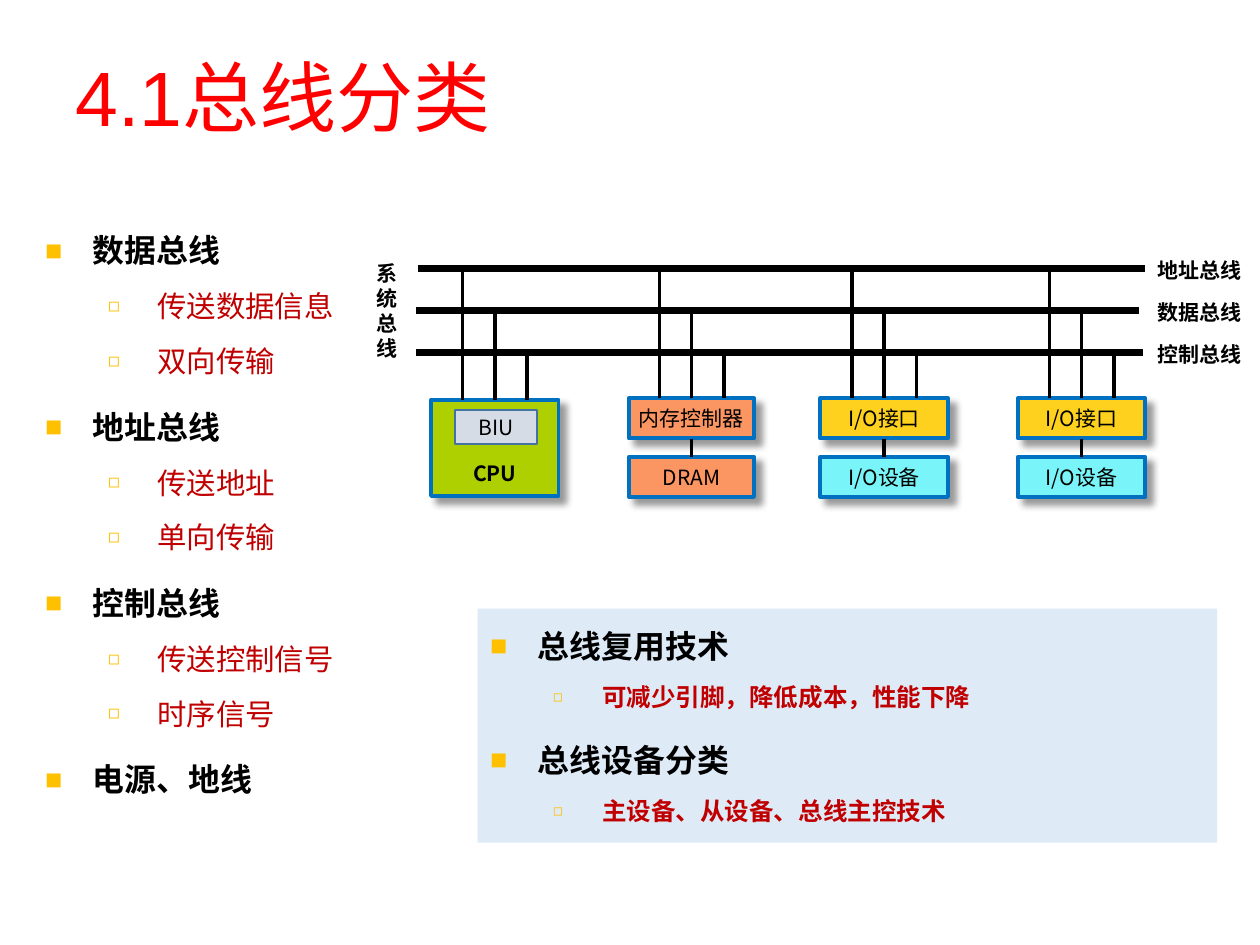
from pptx import Presentation
from pptx.dml.color import RGBColor
from pptx.enum.shapes import MSO_CONNECTOR, MSO_SHAPE
from pptx.enum.text import MSO_ANCHOR, PP_ALIGN
from pptx.oxml.ns import qn
from pptx.util import Cm, Pt
from lxml.etree import SubElement

CJK_FONT = "Noto Sans CJK SC"
BLUE = "0070C0"
TOP, BOTTOM = 0, 2


def colour(value):
    return RGBColor.from_string(value)


def style_para(para, size, shade, bold=False, font=CJK_FONT):
    for span in para.runs:
        span.font.size = Pt(size)
        span.font.bold = bold
        span.font.name = font
        span.font.color.rgb = colour(shade)
        SubElement(span.font._element, qn("a:ea"), typeface=CJK_FONT)


def add_text(page, box, text, size, shade="000000", bold=False, font=CJK_FONT,
             align=PP_ALIGN.CENTER, anchor=MSO_ANCHOR.MIDDLE, margin=0):
    frame = page.shapes.add_textbox(*map(Cm, box)).text_frame
    frame.word_wrap = True
    frame.margin_left = frame.margin_right = Cm(margin)
    frame.vertical_anchor = anchor
    frame.text = text
    frame.paragraphs[0].alignment = align
    style_para(frame.paragraphs[0], size, shade, bold, font)
    return frame


def add_line(page, start, end, width):
    line = page.shapes.add_connector(MSO_CONNECTOR.STRAIGHT, *map(Cm, start + end))
    line.line.width = Pt(width)
    line.line.color.rgb = colour("000000")
    SubElement(line._element.spPr, qn("a:effectLst"))
    return line


def add_block(page, box, text, fill, edge=BLUE, width=2.25, bold=False,
              anchor=MSO_ANCHOR.MIDDLE, shadow=True):
    block = page.shapes.add_shape(MSO_SHAPE.RECTANGLE, *map(Cm, box))
    block.fill.solid()
    block.fill.fore_color.rgb = colour(fill)
    block.line.color.rgb = colour(edge)
    block.line.width = Pt(width)
    block.shadow.inherit = False
    if shadow:
        effects = block._element.spPr.find(qn("a:effectLst"))
        outer = SubElement(effects, qn("a:outerShdw"), blurRad=str(Pt(4)),
                           dist=str(Pt(5)), dir="2700000", algn="tl", rotWithShape="0")
        tint = SubElement(outer, qn("a:srgbClr"), val="000000")
        SubElement(tint, qn("a:alpha"), val="40000")
    frame = block.text_frame
    frame.margin_left = frame.margin_right = frame.margin_top = 0
    frame.margin_bottom = Cm(0.2 if anchor == MSO_ANCHOR.BOTTOM else 0)
    frame.vertical_anchor = anchor
    frame.text = text
    frame.paragraphs[0].alignment = PP_ALIGN.CENTER
    style_para(frame.paragraphs[0], 12, "000000", bold)
    return block


def add_bullet(para, char, percent):
    properties = para._p.get_or_add_pPr()
    tint = SubElement(properties, qn("a:buClr"))
    SubElement(tint, qn("a:srgbClr"), val="FFC000")
    SubElement(properties, qn("a:buSzPct"), val=str(percent * 1000))
    SubElement(properties, qn("a:buFont"), typeface="Arial")
    SubElement(properties, qn("a:buChar"), char=char)


def fill_outline(frame, topics, detail_size, detail_bold):
    frame.word_wrap = True
    frame.vertical_anchor = MSO_ANCHOR.TOP
    entries = []
    for heading, details in topics:
        entries.append((0, heading))
        entries += [(1, detail) for detail in details]
    for index, (level, text) in enumerate(entries):
        para = frame.paragraphs[0] if index == 0 else frame.add_paragraph()
        para.text = text
        para.level = level
        para.alignment = PP_ALIGN.JUSTIFY
        size = detail_size if level else 18.2
        properties = para._p.get_or_add_pPr()
        properties.set("marL", str(Cm(2.26 if level else 0.96)))
        properties.set("indent", str(Cm(-0.99 if level else -0.96)))
        add_bullet(para, *(("◻", 65) if level else ("■", 90)))
        para.line_spacing = Pt(round(size * 1.56, 1))
        if index:
            para.space_before = Pt(5 if level else 10)
        style_para(para, size, "C00000" if level else "000000",
                   detail_bold if level else True)


def add_stubs(page, unit, centre, top, buses):
    address, data, control = buses
    add_line(page, (centre - 0.65, top), (centre - 0.65, address), 2)
    middle = add_line(page, (centre, top), (centre, data), 2)
    middle.begin_connect(unit, TOP)
    add_line(page, (centre + 0.65, top), (centre + 0.65, control), 2)


def add_cpu(page, box, buses):
    left, top, width, height = box
    unit = add_block(page, box, "CPU", "AECF00", bold=True, anchor=MSO_ANCHOR.BOTTOM)
    add_block(page, (left + 0.48, top + 0.2, 1.65, 0.69), "BIU", "D6DCE5",
              edge="43739E", width=1, shadow=False)
    add_stubs(page, unit, left + width / 2, top, buses)


def add_device(page, box, labels, fills, buses):
    left, top, width, height = box
    part = 0.81
    upper = add_block(page, (left, top, width, part), labels[0], fills[0])
    lower = add_block(page, (left, top + height - part, width, part), labels[1], fills[1])
    centre = left + width / 2
    link = add_line(page, (centre, top + part), (centre, top + height - part), 2)
    link.begin_connect(upper, BOTTOM)
    link.end_connect(lower, TOP)
    add_stubs(page, upper, centre, top, buses)


def add_bus_diagram(page, box):
    left, top, width, height = box
    buses = [top + 0.36 + 0.85 * step for step in range(3)]
    names = ("地址总线", "数据总线", "控制总线")
    spans = ((1.17, 15.83), (1.12, 15.7), (1.12, 15.78))
    for name, y, (start, end) in zip(names, buses, spans):
        add_line(page, (left + start, y), (left + end, y), 4)
        add_text(page, (left + width - 2.24, y - 0.35, 2.24, 0.76), name, 12, bold=True)
    caption = add_text(page, (left, top + 0.09, 1.07, 2.3), "系统总线", 12, bold=True,
                       anchor=MSO_ANCHOR.TOP, margin=0.25)
    caption.paragraphs[0].line_spacing = Pt(14.3)

    unit_top = top + 2.98
    unit_height = height - 2.98
    add_cpu(page, (left + 1.43, unit_top + 0.03, 2.57, unit_height - 0.05), buses)
    add_device(page, (left + 5.42, unit_top, 2.52, unit_height),
               ("内存控制器", "DRAM"), ("FB9562", "FB9562"), buses)
    for offset in (9.28, 13.26):
        add_device(page, (left + offset, unit_top, 2.57, unit_height),
                   ("I/O接口", "I/O设备"), ("FDD11E", "79F5F9"), buses)


def add_bus_types(page, box):
    frame = page.shapes.add_textbox(*map(Cm, box)).text_frame
    fill_outline(frame, (
        ("数据总线", ("传送数据信息", "双向传输")),
        ("地址总线", ("传送地址", "单向传输")),
        ("控制总线", ("传送控制信号", "时序信号")),
        ("电源、地线", ()),
    ), 16.8, False)


def add_techniques(page, box):
    panel = page.shapes.add_shape(MSO_SHAPE.RECTANGLE, *map(Cm, box))
    panel.shadow.inherit = False
    panel.fill.solid()
    panel.fill.fore_color.rgb = colour("DEEBF7")
    panel.line.fill.background()
    fill_outline(panel.text_frame, (
        ("总线复用技术", ("可减少引脚，降低成本，性能下降",)),
        ("总线设备分类", ("主设备、从设备、总线主控技术",)),
    ), 14, True)


def main():
    deck = Presentation()
    deck.slide_width, deck.slide_height = Cm(25.4), Cm(19.05)
    page = deck.slides.add_slide(deck.slide_layouts[6])
    add_text(page, (1.27, 0.76, 22.86, 2.36), "4.1总线分类", 44, "FF0000",
             font="Arial", align=PP_ALIGN.LEFT, margin=0.25)
    add_bus_types(page, (0.66, 4.3, 6.86, 12.17))
    add_bus_diagram(page, (7.26, 5.05, 18.04, 4.97))
    add_techniques(page, (9.63, 12.27, 14.91, 4.72))
    deck.save("out.pptx")


if __name__ == "__main__":
    main()
